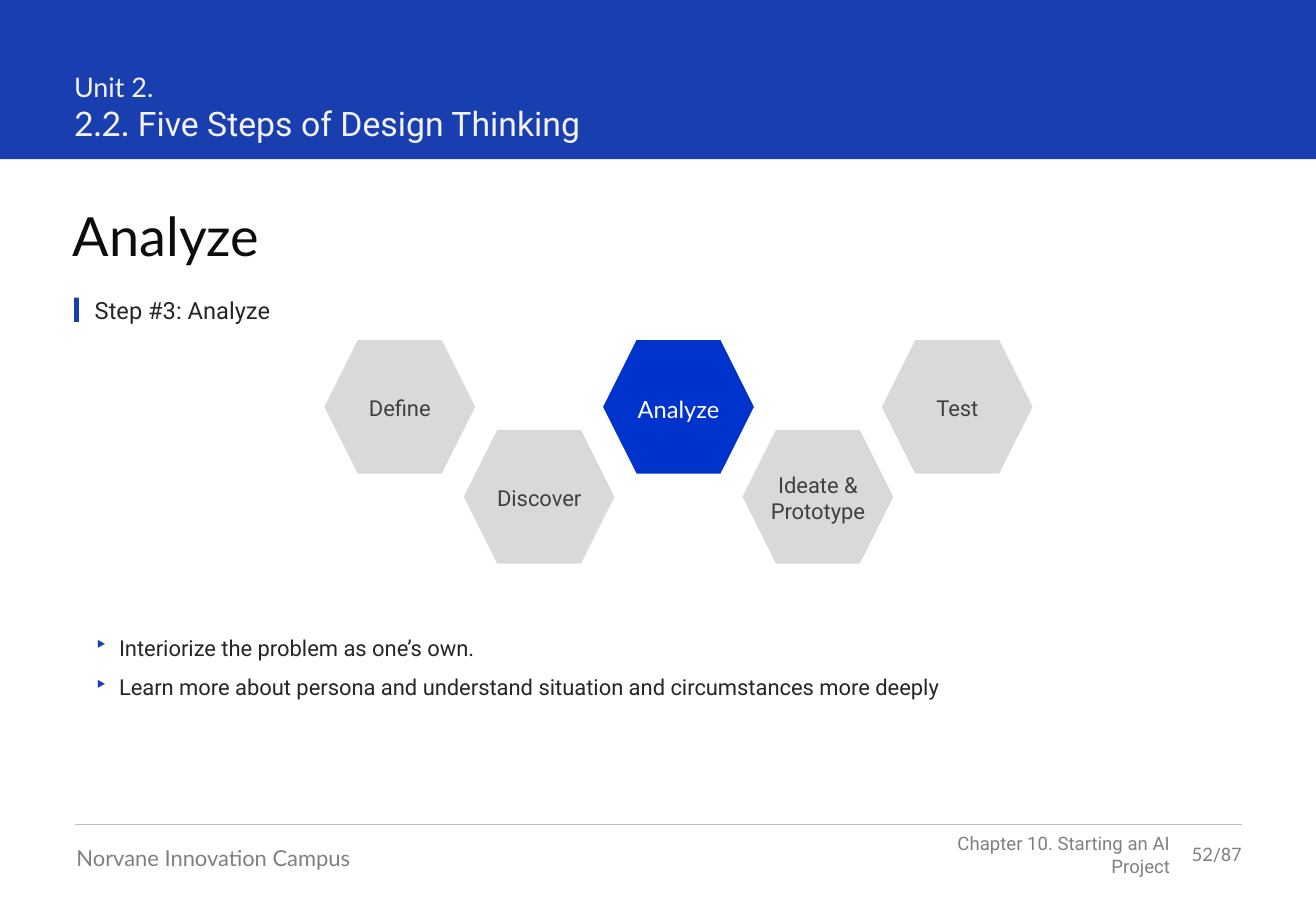
from lxml.etree import SubElement
from pptx import Presentation
from pptx.dml.color import RGBColor
from pptx.enum.shapes import MSO_CONNECTOR as Connector, MSO_SHAPE as Shape
from pptx.enum.text import MSO_ANCHOR as Anchor, PP_ALIGN as Align
from pptx.oxml.ns import qn
from pptx.util import Inches, Pt

COLORS = {
    "brand": "193EB0",
    "active": "0033CC",
    "idle": "D9D9D9",
    "rule": "BFBFBF",
    "footer": "808080",
    "heading": "0D0D0D",
    "body": "262626",
    "label": "404040",
    "banner": "F2F2F2",
    "white": "FFFFFF",
}


def color(name):
    return RGBColor.from_string(COLORS[name])


def assign(target, values):
    for name, value in values.items():
        setattr(target, name, value)


class SlideBuilder:
    def __init__(self, page):
        self.page = page

    def shape(self, kind, area, fill):
        shape = self.page.shapes.add_shape(kind, *map(Inches, area))
        shape.shadow.inherit = False
        shape.fill.solid()
        shape.fill.fore_color.rgb = color(fill)
        shape.line.fill.background()

    def line(self, left, right, top, stroke, width):
        line = self.page.shapes.add_connector(
            Connector.STRAIGHT, Inches(left), Inches(top), Inches(right), Inches(top)
        )
        line.line.color.rgb = color(stroke)
        line.line.width = Pt(width)
        SubElement(line._element.spPr, qn("a:effectLst"))

    def text(self, area, paragraphs, anchor=Anchor.TOP, align=Align.LEFT,
             after=0, bullet=None, insets=(0, 0, 0, 0)):
        box = self.page.shapes.add_textbox(*map(Inches, area))
        frame = box.text_frame
        sides = ("margin_left", "margin_top", "margin_right", "margin_bottom")
        assign(frame, {"word_wrap": True, "vertical_anchor": anchor})
        assign(frame, dict(zip(sides, map(Inches, insets))))
        for index, runs in enumerate(paragraphs):
            para = frame.add_paragraph() if index else frame.paragraphs[0]
            if bullet:
                self.bullet(para, bullet)
            assign(para, {"alignment": align, "space_after": Pt(after)})
            for words, size, font, ink in runs:
                if words == "\n":
                    para.add_line_break()
                    continue
                span = para.add_run()
                span.text = words
                assign(span.font, {"size": Pt(size), "name": font})
                span.font.color.rgb = color(ink)

    def bullet(self, para, mark):
        properties = para._p.get_or_add_pPr()
        properties.set("marL", str(Inches(0.2)))
        properties.set("indent", str(Inches(-0.2)))
        tint = SubElement(properties, qn("a:buClr"))
        SubElement(tint, qn("a:srgbClr"), val=COLORS["brand"])
        SubElement(properties, qn("a:buChar"), char=mark)

    def step(self, left, top, label, lines, fill, style):
        width, height, text_width = 1.24, 1.1, 1.15
        self.shape(Shape.HEXAGON, (left, top, width, height), fill)
        text_height = 0.22 * lines
        area = (left + (width - text_width) / 2,
                top + (height - text_height) / 2 + 0.01, text_width, text_height)
        self.text(area, [[(label, *style)]], align=Align.CENTER, after=6)


def main():
    deck = Presentation()
    assign(deck, {"slide_width": Inches(10.83), "slide_height": Inches(7.5)})
    slide = SlideBuilder(deck.slides.add_slide(deck.slide_layouts[6]))

    slide.shape(Shape.RECTANGLE, (0, 0, 10.83, 1.31), "brand")
    slide.text((0.61, 0.58, 6.37, 0.61), [[
        ("Unit 2.", 16, "Lato", "banner"),
        ("\n", 16, "Lato", "banner"),
        ("2.2. ", 20, "Lato", "banner"),
        ("Five Steps of Design Thinking", 20, "Roboto", "banner"),
    ]])

    slide.text((0.6, 1.67, 9.62, 0.54), [[("Analyze", 32, "Lato", "heading")]])
    slide.shape(Shape.RECTANGLE, (0.61, 2.45, 0.04, 0.2), "brand")
    slide.text((0.78, 2.44, 9.44, 0.24),
               [[("Step #3: Analyze", 14, "Roboto", "body")]], after=6)

    idle = ("idle", (13, "Roboto", "label"))
    active = ("active", (14, "Lato", "white"))
    steps = [
        ("Define", 1, idle),
        ("Discover", 1, idle),
        ("Analyze", 1, active),
        ("Ideate & Prototype", 2, idle),
        ("Test", 1, idle),
    ]
    for index, (label, lines, (fill, style)) in enumerate(steps):
        slide.step(2.67 + 1.147 * index, 2.8 + 0.74 * (index % 2),
                   label, lines, fill, style)

    points = [
        "Interiorize the problem as one’s own.",
        "Learn more about persona and understand situation and circumstances more deeply",
    ]
    slide.text((0.78, 5.14, 9.44, 0.71),
               [[(point, 13, "Roboto", "body")] for point in points],
               after=8, bullet="‣", insets=(0, 0.08, 0.16, 0.08))

    slide.line(0.62, 10.22, 6.79, "rule", 0.5)
    slide.text((0.63, 6.95, 3.16, 0.22),
               [[("Norvane Innovation Campus", 13, "Lato", "footer")]])
    slide.text((7.37, 6.94, 2.26, 0.19),
               [[("Chapter 10. Starting an AI Project", 11, "Roboto", "footer")]],
               anchor=Anchor.MIDDLE, align=Align.RIGHT)
    slide.text((9.63, 6.94, 0.59, 0.19),
               [[("52", 11, "Lato", "footer"), ("/87", 11, "Roboto", "footer")]],
               anchor=Anchor.MIDDLE, align=Align.RIGHT)

    deck.save("out.pptx")


if __name__ == "__main__":
    main()
